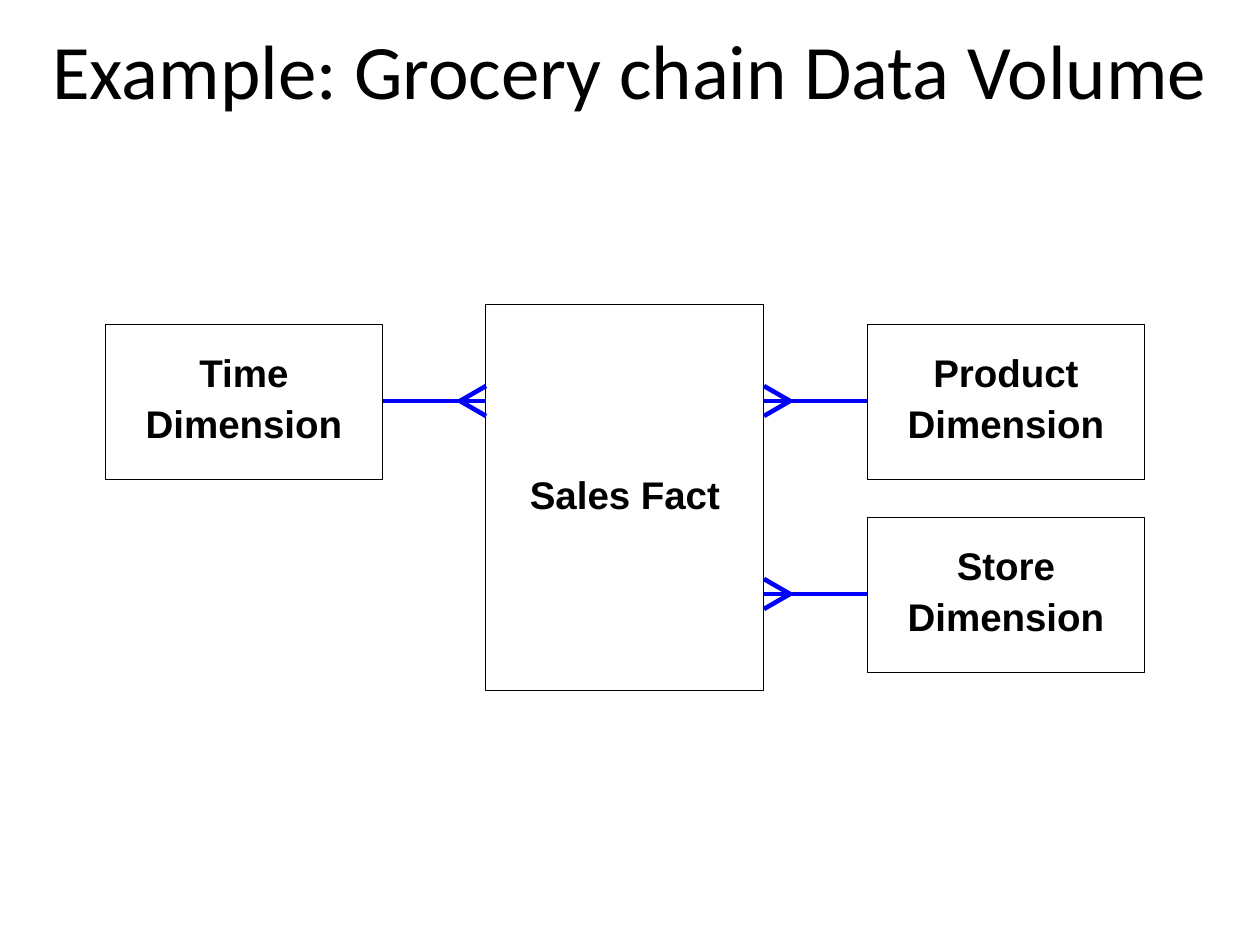
from dataclasses import dataclass

from lxml import etree
from pptx import Presentation
from pptx import util as u
from pptx.dml.color import RGBColor
from pptx.enum import shapes, text
from pptx.oxml import ns

EMU_PER_PX = u.Inches(1) / 126
COLORS = {"ink": "000000", "paper": "FFFFFF", "link": "0000FF"}
FORK_LENGTH, FORK_SPREAD = 26, 15


@dataclass(frozen=True)
class Entity:
    lines: tuple[str, ...]
    left: int
    top: int
    width: int = 278
    height: int = 155

    @property
    def right(self) -> int:
        return self.left + self.width

    @property
    def middle(self) -> int:
        return self.top + self.height // 2


def px(length: int) -> u.Emu:
    return u.Emu(round(length * EMU_PER_PX))


def color(name: str) -> RGBColor:
    return RGBColor.from_string(COLORS[name])


def add_run(paragraph, words: str, font: str, size: int, bold: bool = False) -> None:
    paragraph.alignment = text.PP_ALIGN.CENTER
    run = paragraph.add_run()
    run.text = words
    run.font.name, run.font.size, run.font.bold = font, u.Pt(size), bold
    run.font.color.rgb = color("ink")


def add_title(slide, words: str) -> None:
    shape = slide.shapes.add_textbox(px(0), px(6), px(1260), px(125))
    frame = shape.text_frame
    frame.word_wrap = True
    frame.vertical_anchor = text.MSO_ANCHOR.MIDDLE
    add_run(frame.paragraphs[0], words, "Calibri", 44)


def add_entity(slide, entity: Entity) -> None:
    shape = slide.shapes.add_shape(
        shapes.MSO_SHAPE.RECTANGLE,
        px(entity.left), px(entity.top), px(entity.width), px(entity.height))
    shape.shadow.inherit = False
    shape.fill.solid()
    shape.fill.fore_color.rgb = color("paper")
    shape.line.color.rgb = color("ink")
    shape.line.width = u.Pt(0.5)
    frame = shape.text_frame
    frame.word_wrap = True
    frame.vertical_anchor = text.MSO_ANCHOR.MIDDLE
    frame.margin_left = frame.margin_right = frame.margin_top = 0
    frame.margin_bottom = px(13)
    for index, line in enumerate(entity.lines):
        paragraph = frame.add_paragraph() if index else frame.paragraphs[0]
        paragraph.line_spacing = u.Pt(29.5)
        add_run(paragraph, line, "Arial", 22, bold=True)


def add_line(slide, x1: int, y1: int, x2: int, y2: int) -> None:
    line = slide.shapes.add_connector(
        shapes.MSO_CONNECTOR.STRAIGHT, px(x1), px(y1), px(x2), px(y2))
    line.line.color.rgb = color("link")
    line.line.width = u.Pt(2.63)
    etree.SubElement(line._element.spPr, ns.qn("a:effectLst"))


def add_relation(slide, dimension: Entity, fact: Entity) -> None:
    """Join a dimension to the fact, with a crow's foot on the fact's side."""
    if dimension.left < fact.left:
        start, edge, apex = dimension.right, fact.left, fact.left - FORK_LENGTH
    else:
        start, edge, apex = dimension.left, fact.right, fact.right + FORK_LENGTH
    y = dimension.middle
    add_line(slide, apex, y, start, y)
    for offset in (0, -FORK_SPREAD, FORK_SPREAD):
        add_line(slide, apex, y, edge, y + offset)


def main() -> None:
    presentation = Presentation()
    presentation.slide_width, presentation.slide_height = px(1260), px(945)
    slide = presentation.slides.add_slide(presentation.slide_layouts[6])

    add_title(slide, "Example: Grocery chain Data Volume")

    # Star schema: one fact and its dimensions
    fact = Entity(("Sales Fact",), 486, 304, height=387)
    dimensions = (
        Entity(("Time", "Dimension"), 105, 324),
        Entity(("Store", "Dimension"), 867, 517),
        Entity(("Product", "Dimension"), 867, 324),
    )
    add_entity(slide, fact)
    for dimension in dimensions:
        add_entity(slide, dimension)
        add_relation(slide, dimension, fact)

    presentation.save("out.pptx")


if __name__ == "__main__":
    main()
